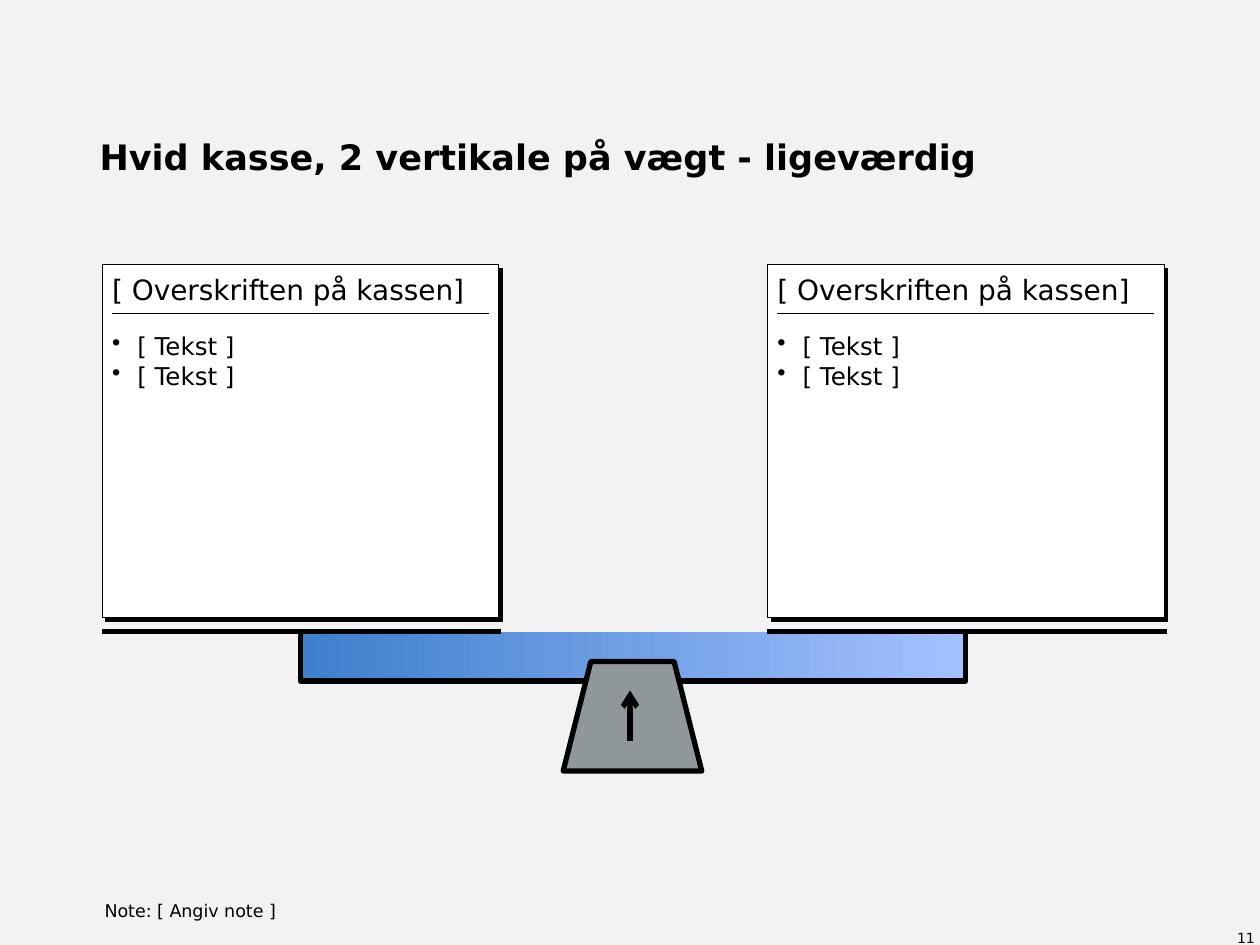
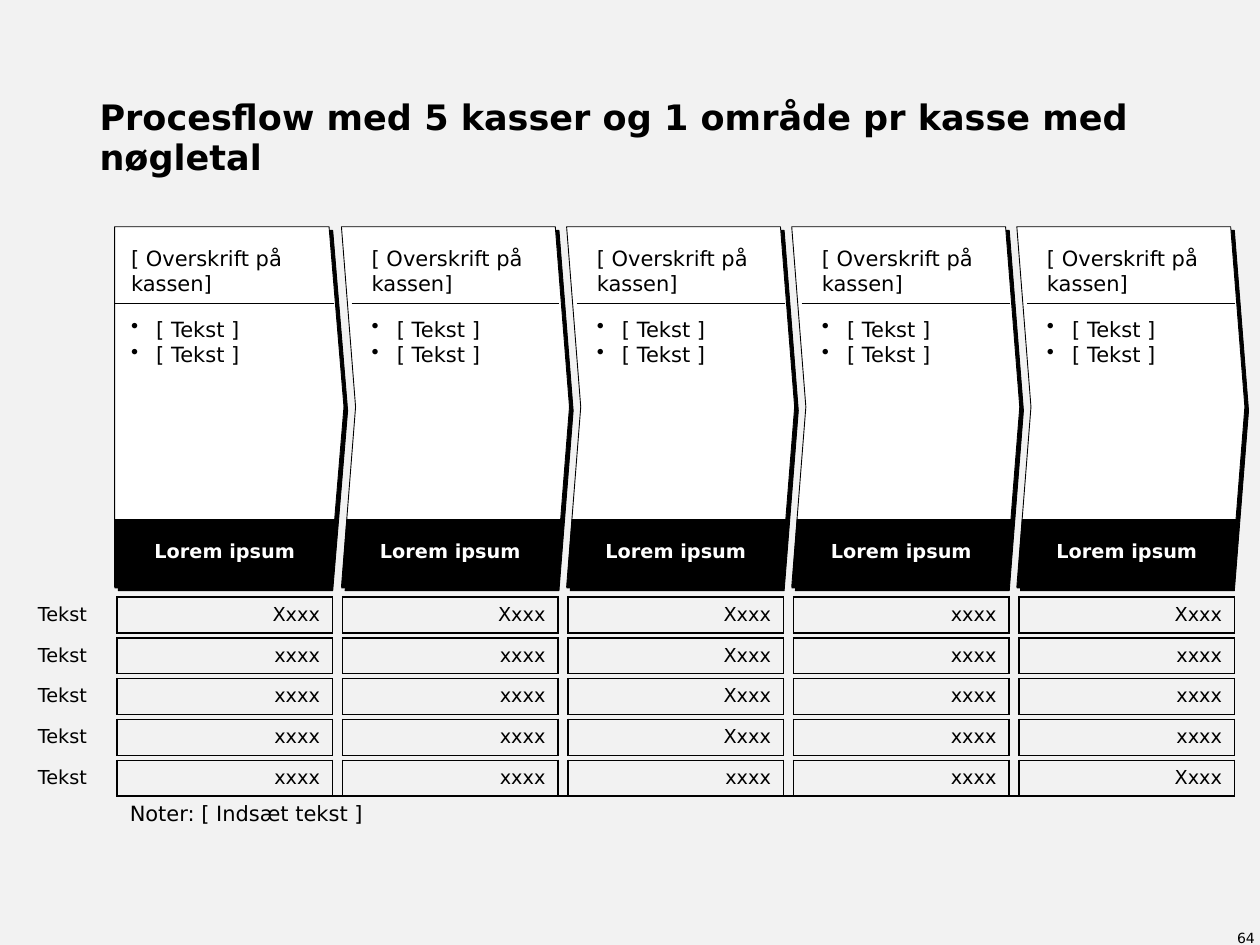
import pptx
import pptx.util
import pptx.dml.color
import pptx.enum.shapes
import pptx.enum.text
import pptx.oxml.ns
from lxml import etree

Inches, Pt = pptx.util.Inches, pptx.util.Pt
SHAPE = pptx.enum.shapes.MSO_SHAPE
STRAIGHT = pptx.enum.shapes.MSO_CONNECTOR.STRAIGHT
ANCHOR, ALIGN = pptx.enum.text.MSO_ANCHOR, pptx.enum.text.PP_ALIGN
rgb = pptx.dml.color.RGBColor.from_string
qn = pptx.oxml.ns.qn

FONT = "DejaVu Sans"
BACK, BLACK, WHITE, GREY = "F2F2F2", "000000", "FFFFFF", "90979B"
INSET = (0.08, 0.06, 0.08, 0.06)
BULLETS = ["[ Tekst ]", "[ Tekst ]"]


def paint(sp, fill=None, width=None, shadow=False):
    """Set fill, black line and hard shadow of a shape or connector."""
    if fill:
        sp.fill.solid()
        sp.fill.fore_color.rgb = rgb(fill)
    if width:
        sp.line.color.rgb = rgb(BLACK)
        sp.line.width = Pt(width)
    else:
        sp.line.fill.background()
    effects = etree.SubElement(sp._element.spPr, qn("a:effectLst"))
    if shadow:
        outer = etree.SubElement(effects, qn("a:outerShdw"), blurRad="0", dist=str(Pt(3)),
                                 dir="2700000", algn="ctr", rotWithShape="0")
        etree.SubElement(outer, qn("a:srgbClr"), val=BLACK)


def write(tf, lines, size, color=BLACK, bold=False, bullet=False, **paragraph_format):
    for i, line in enumerate(lines):
        p = tf.add_paragraph() if i else tf.paragraphs[0]
        if bullet:
            pPr = p._p.get_or_add_pPr()
            pPr.set("marL", str(Inches(0.2)))
            pPr.set("indent", str(Inches(-0.2)))
            etree.SubElement(pPr, qn("a:buChar"), char="•")
        for name, value in paragraph_format.items():
            setattr(p, name, value)
        r = p.add_run()
        r.text = line
        for name, value in {"name": FONT, "size": Pt(size), "bold": bold}.items():
            setattr(r.font, name, value)
        r.font.color.rgb = rgb(color)


prs = pptx.Presentation()
prs.slide_width, prs.slide_height = Inches(10), Inches(7.5)
slides = []
texts = []  # slide, box, lines, anchor, insets, format

# Shared background, title and page number
for title, number in [("Hvid kasse, 2 vertikale på vægt - ligeværdig", "11"),
                      ("Procesflow med 5 kasser og 1 område pr kasse med nøgletal", "64")]:
    s = prs.slides.add_slide(prs.slide_layouts[6])
    s.background.fill.solid()
    s.background.fill.fore_color.rgb = rgb(BACK)
    slides.append(s)
    texts += [
        (s, (0.79, 0.59, 8.42, 0.83), [title], ANCHOR.BOTTOM, (0, 0, 0, 0),
         {"size": 20, "bold": True, "line_spacing": 0.96}),
        (s, (7.63, 7.36, 2.33, 0.15), [number], ANCHOR.TOP, (0, 0, 0, 0),
         {"size": 8, "alignment": ALIGN.RIGHT, "line_spacing": 1.15}),
    ]
balance, process = slides

# Balance: beam, base and two pans with boxes
beam = balance.shapes.add_shape(SHAPE.RIGHT_BRACKET, Inches(4.83), Inches(2.57),
                                Inches(0.39), Inches(5.28))
beam.rotation = 90
beam.adjustments[0] = 0
paint(beam, width=3)
base = balance.shapes.add_shape(SHAPE.FLOWCHART_MANUAL_OPERATION, Inches(4.47), Inches(5.25),
                                Inches(1.1), Inches(0.87))
base._element.spPr.xfrm.set("flipV", "1")
paint(base, GREY, 3)

lines = [(5, 5.88, 5, 5.48, 3)]
for x in (0.81, 6.09):
    box = balance.shapes.add_shape(SHAPE.RECTANGLE, Inches(x), Inches(2.1),
                                   Inches(3.15), Inches(2.8))
    paint(box, WHITE, 0.5, shadow=True)
    lines += [(x, 5.01, x + 3.17, 5.01, 3), (x + 0.08, 2.49, x + 3.07, 2.49, 0.5)]
    texts += [
        (balance, (x, 2.1, 3.15, 0.39), ["[ Overskriften på kassen]"], ANCHOR.BOTTOM, INSET,
         {"size": 16}),
        (balance, (x, 2.57, 3.15, 2.13), BULLETS, ANCHOR.TOP, INSET,
         {"size": 14, "bullet": True}),
    ]
for i, (x1, y1, x2, y2, width) in enumerate(lines):
    line = balance.shapes.add_connector(STRAIGHT, Inches(x1), Inches(y1), Inches(x2), Inches(y2))
    paint(line, width=width)
    if i == 0:
        etree.SubElement(line.line._get_or_add_ln(), qn("a:tailEnd"), type="arrow")
texts.append((balance, (0.83, 7.14, 3.94, 0.17), ["Note: [ Angiv note ]"], ANCHOR.TOP,
              (0, 0, 0, 0), {"size": 10}))

# Process: a plate, then four chevrons at equal steps
step = (8.07 - 2.71) / 3
for i in range(5):
    if i == 0:
        x, kind, w, adj = 0.91, SHAPE.PENTAGON, 1.82, 0.065
        rule, text_x, text_w, band = (0, 1.74), 0.05, 1.68, (0, 1.77, 1.72)
    else:
        x, kind, w, adj = 2.71 + (i - 1) * step, SHAPE.CHEVRON, 1.81, 0.062
        rule, text_x, text_w, band = (0.08, 1.73), 0.16, 1.6, (0.04, 1.75, 1.71)
    sp = process.shapes.add_shape(kind, Inches(x), Inches(1.8), Inches(w), Inches(2.86))
    sp.adjustments[0] = adj
    paint(sp, WHITE, 0.5, shadow=True)
    line = process.shapes.add_connector(STRAIGHT, Inches(x + rule[0]), Inches(2.41),
                                        Inches(x + rule[1]), Inches(2.41))
    paint(line, width=0.5)
    top_left, top_right, bottom_right = (Inches(x + dx) for dx in band)
    builder = process.shapes.build_freeform(top_left, Inches(4.12))
    builder.add_line_segments([(top_right, Inches(4.12)), (bottom_right, Inches(4.67)),
                               (Inches(x), Inches(4.67))])
    paint(builder.convert_to_shape(), BLACK)
    texts += [
        (process, (x + text_x, 2.04, text_w, 0.37), ["[ Overskrift på kassen]"],
         ANCHOR.BOTTOM, INSET, {"size": 12}),
        (process, (x + text_x, 2.45, text_w, 2.09), BULLETS, ANCHOR.TOP, INSET,
         {"size": 12, "bullet": True}),
    ]

for s, box, content, anchor, insets, fmt in texts:
    tf = s.shapes.add_textbox(*map(Inches, box)).text_frame
    tf.word_wrap = True
    tf.vertical_anchor = anchor
    for side, inset in zip(("left", "top", "right", "bottom"), insets):
        setattr(tf, "margin_" + side, Inches(inset))
    write(tf, content, **fmt)

# Key figures: values in odd columns of even rows, thin gaps between them
figures = [
    ["Xxxx", "Xxxx", "Xxxx", "xxxx", "Xxxx"],
    ["xxxx", "xxxx", "Xxxx", "xxxx", "xxxx"],
    ["xxxx", "xxxx", "Xxxx", "xxxx", "xxxx"],
    ["xxxx", "xxxx", "Xxxx", "xxxx", "xxxx"],
    ["xxxx", "xxxx", "xxxx", "xxxx", "Xxxx"],
]
cells = {(0, c): "Lorem ipsum" for c in range(1, 10, 2)}
for i, row in enumerate(figures):
    cells[2 * i + 2, 0] = "Tekst"
    cells.update({(2 * i + 2, 2 * j + 1): value for j, value in enumerate(row)})
boxed = {(r, c) for r, c in cells if r and c}
cells[11, 1] = "Noter: [ Indsæt tekst ]"

widths = [0.73] + [1.71, 0.08] * 4 + [1.71]
heights = [0.64] + [0.04, 0.28] * 5 + [0.3]
table = process.shapes.add_table(len(heights), len(widths), Inches(0.2), Inches(4.06),
                                 Inches(sum(widths)), Inches(sum(heights))).table
table.first_row = table.horz_banding = False
table._tbl.tblPr.find(qn("a:tableStyleId")).text = "{2D5ABB26-0587-4C30-8999-92F81FD0307C}"
for column, width in zip(table.columns, widths):
    column.width = Inches(width)
for row, height in zip(table.rows, heights):
    row.height = Inches(height)
table.cell(11, 1).merge(table.cell(11, 9))

for r in range(len(heights)):
    for c in range(len(widths)):
        cell = table.cell(r, c)
        tcPr = cell._tc.get_or_add_tcPr()
        for tag, beside in [("a:lnL", (r, c - 1)), ("a:lnR", (r, c + 1)),
                            ("a:lnT", (r - 1, c)), ("a:lnB", (r + 1, c))]:
            ln = etree.SubElement(tcPr, qn(tag), w=str(Pt(1)))
            above_note = c > 0 and (r, tag) in [(10, "a:lnB"), (11, "a:lnT")]
            if (r, c) in boxed or beside in boxed or above_note:
                fill = etree.SubElement(ln, qn("a:solidFill"))
                etree.SubElement(fill, qn("a:srgbClr"), val=BLACK)
            else:
                etree.SubElement(ln, qn("a:noFill"))
        cell.fill.background()
        if (r, c) not in cells:
            cell.margin_left = cell.margin_right = cell.margin_top = cell.margin_bottom = 0
            etree.SubElement(cell.text_frame.paragraphs[0]._p, qn("a:endParaRPr"), sz="100")
            continue
        fmt = {"size": 11}
        if r == 0:
            cell.vertical_anchor = ANCHOR.MIDDLE
            fmt.update(color=WHITE, bold=True, alignment=ALIGN.CENTER)
        elif r == 11:
            fmt["size"] = 12
        elif c:
            fmt["alignment"] = ALIGN.RIGHT
        write(cell.text_frame, [cells[r, c]], **fmt)

prs.save("out.pptx")
